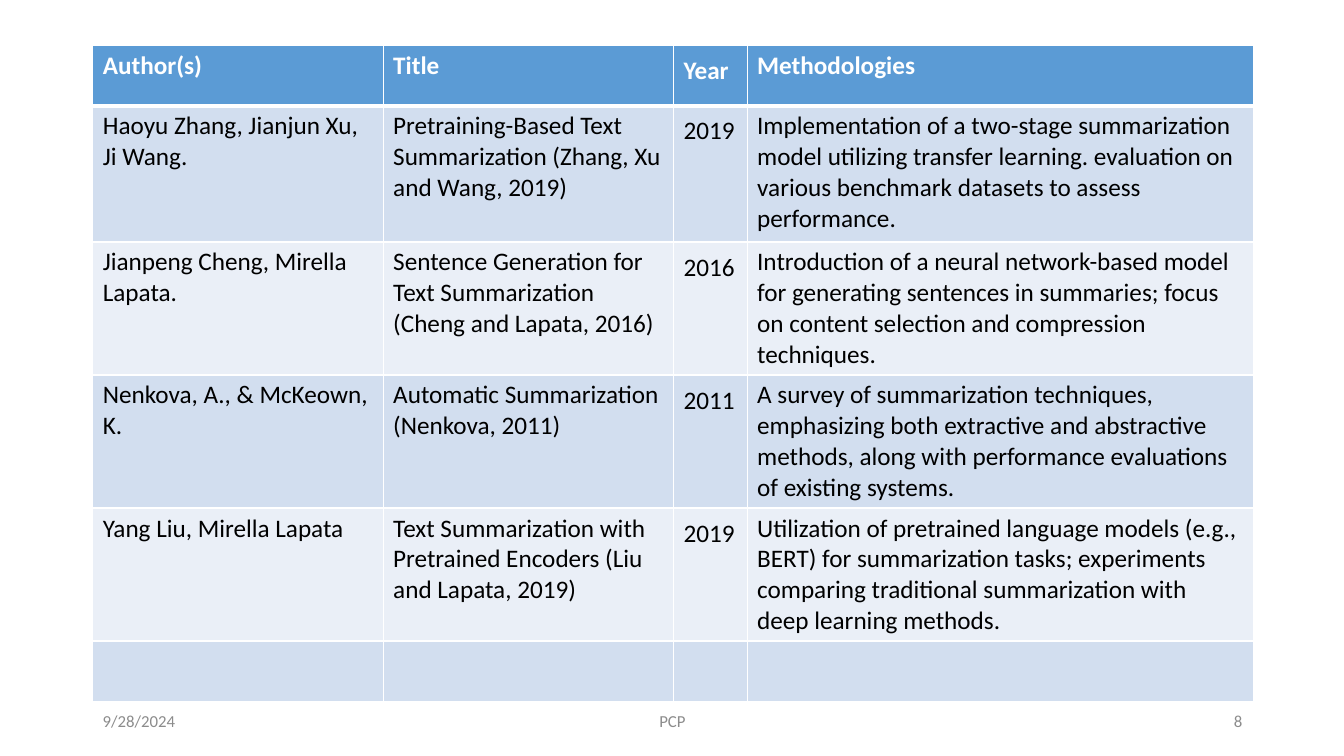
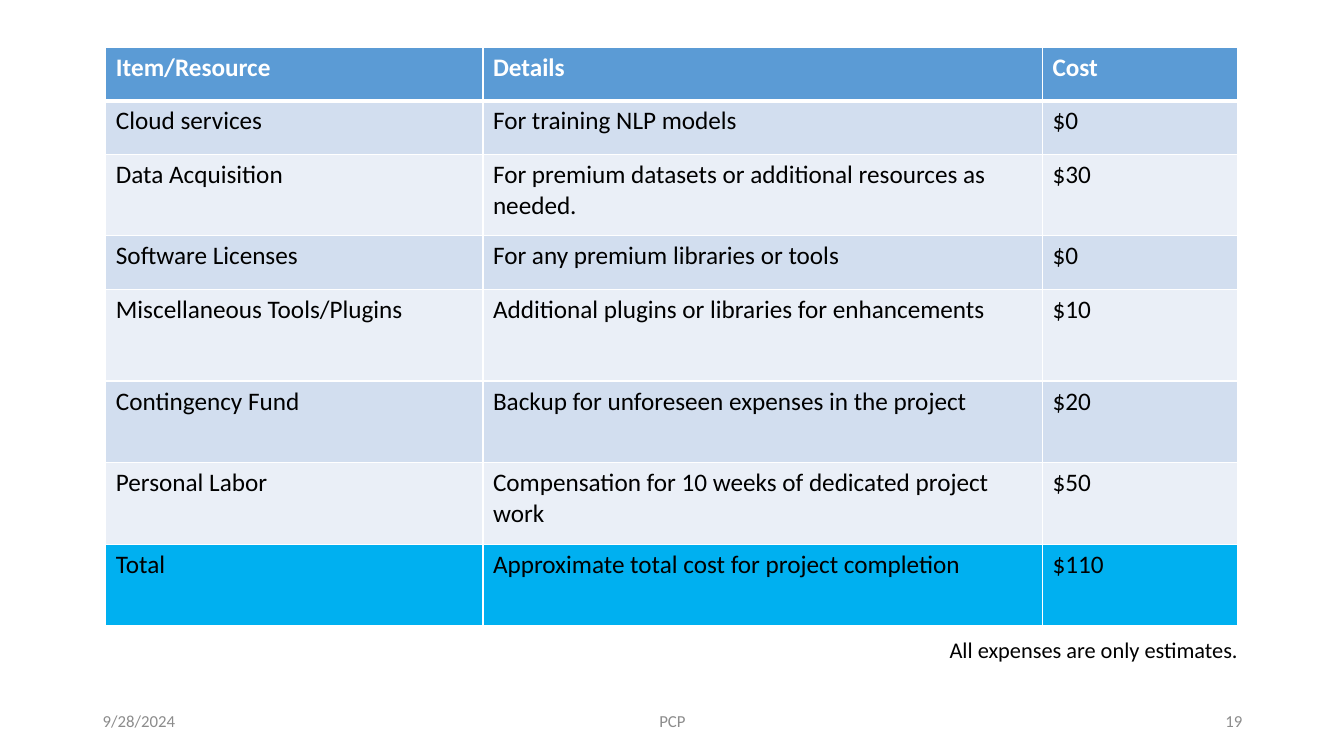
from dataclasses import dataclass

from pptx import Presentation
from pptx.dml.color import RGBColor
from pptx.enum.text import MSO_ANCHOR as Anchor, PP_ALIGN as Align
from pptx.oxml import parse_xml
from pptx.oxml.ns import nsdecls
from pptx.slide import Slide
from pptx.table import _Cell as Cell
from pptx.text.text import TextFrame
from pptx.util import Inches, Pt

WHITE = RGBColor(0xFF, 0xFF, 0xFF)
BLACK = RGBColor(0x00, 0x00, 0x00)
GRAY = RGBColor(0x8C, 0x8C, 0x8C)
HEADER_BLUE = RGBColor(0x5B, 0x9B, 0xD5)
BAND_DARK = RGBColor(0xD2, 0xDE, 0xEF)
BAND_LIGHT = RGBColor(0xEA, 0xEF, 0xF7)
TOTAL_BLUE = RGBColor(0x00, 0xB0, 0xF0)
FONT = "Calibri"


@dataclass(frozen=True)
class Box:
    left: float
    top: float
    width: float
    height: float


@dataclass(frozen=True)
class FooterPart:
    box: Box
    align: Align


@dataclass(frozen=True)
class Grid:
    left: float
    top: float
    columns: tuple[float, ...]
    heights: tuple[float, ...]
    rows: tuple[tuple[str, ...], ...]
    lowered_column: int | None = None
    has_total: bool = False


FOOTER = (
    FooterPart(Box(0.92, 6.95, 3, 0.4), Align.LEFT),
    FooterPart(Box(4.42, 6.95, 4.5, 0.4), Align.CENTER),
    FooterPart(Box(9.42, 6.95, 3, 0.4), Align.RIGHT),
)

LITERATURE = Grid(
    left=0.92,
    top=0.45,
    columns=(2.88, 2.88, 0.73, 5.02),
    heights=(0.6, 1.35, 1.32, 1.32, 1.32, 0.6),
    rows=(
        ("Author(s)", "Title", "Year", "Methodologies"),
        (
            "Haoyu Zhang, Jianjun Xu, Ji Wang.",
            "Pretraining-Based Text Summarization (Zhang, Xu and Wang, 2019)",
            "2019",
            "Implementation of a two-stage summarization model utilizing transfer learning. "
            "evaluation on various benchmark datasets to assess performance.",
        ),
        (
            "Jianpeng Cheng, Mirella Lapata.",
            "Sentence Generation for Text Summarization (Cheng and Lapata, 2016)",
            "2016",
            "Introduction of a neural network-based model for generating sentences in summaries; "
            "focus on content selection and compression techniques.",
        ),
        (
            "Nenkova, A., & McKeown, K.",
            "Automatic Summarization (Nenkova, 2011)",
            "2011",
            "A survey of summarization techniques, emphasizing both extractive and abstractive "
            "methods, along with performance evaluations of existing systems.",
        ),
        (
            "Yang Liu, Mirella Lapata",
            "Text Summarization with Pretrained Encoders (Liu and Lapata, 2019)",
            "2019",
            "Utilization of pretrained language models (e.g., BERT) for summarization tasks; "
            "experiments comparing traditional summarization with deep learning methods.",
        ),
        ("", "", "", ""),
    ),
    lowered_column=2,
)

BUDGET = Grid(
    left=1.05,
    top=0.47,
    columns=(3.74, 5.55, 1.94),
    heights=(0.53, 0.53, 0.81, 0.53, 0.91, 0.81, 0.81, 0.81),
    rows=(
        ("Item/Resource", "Details", "Cost"),
        ("Cloud services", "For training NLP models", "$0"),
        ("Data Acquisition", "For premium datasets or additional resources as needed.", "$30"),
        ("Software Licenses", "For any premium libraries or tools", "$0"),
        ("Miscellaneous Tools/Plugins", "Additional plugins or libraries for enhancements", "$10"),
        ("Contingency Fund", "Backup for unforeseen expenses in the project", "$20"),
        ("Personal Labor", "Compensation for 10 weeks of dedicated project work", "$50"),
        ("Total", "Approximate total cost for project completion", "$110"),
    ),
    has_total=True,
)


def write(
    frame: TextFrame,
    text: str,
    *,
    size: float = 18,
    color: RGBColor = BLACK,
    bold: bool = False,
    align: Align = Align.LEFT,
) -> None:
    paragraph = frame.paragraphs[0]
    paragraph.text = text
    paragraph.alignment = align
    font = paragraph.font
    font.name, font.size, font.bold = FONT, Pt(size), bold
    font.color.rgb = color


def add_label(slide: Slide, box: Box, text: str, *, size: float, color: RGBColor,
              align: Align = Align.LEFT, anchor: Anchor = Anchor.TOP) -> None:
    label = slide.shapes.add_textbox(
        Inches(box.left), Inches(box.top), Inches(box.width), Inches(box.height)
    )
    frame = label.text_frame
    frame.word_wrap = True
    frame.vertical_anchor = anchor
    write(frame, text, size=size, color=color, align=align)


def add_footer(slide: Slide, number: int) -> None:
    for part, text in zip(FOOTER, ("9/28/2024", "PCP", str(number))):
        add_label(slide, part.box, text, size=12, color=GRAY,
                  align=part.align, anchor=Anchor.MIDDLE)


def set_borders(cell: Cell, top: float, bottom: float) -> None:
    properties = cell._tc.get_or_add_tcPr()
    for index, (side, width) in enumerate(zip("LRTB", (1, 1, top, bottom))):
        properties.insert(index, parse_xml(
            f'<a:ln{side} {nsdecls("a")} w="{Pt(width)}"><a:solidFill>'
            f'<a:srgbClr val="{WHITE}"/></a:solidFill></a:ln{side}>'
        ))


def row_fill(grid: Grid, row: int) -> RGBColor:
    if row == 0:
        return HEADER_BLUE
    if grid.has_total and row == len(grid.rows) - 1:
        return TOTAL_BLUE
    return BAND_DARK if row % 2 else BAND_LIGHT


def add_grid(slide: Slide, grid: Grid) -> None:
    table = slide.shapes.add_table(
        len(grid.rows), len(grid.columns), Inches(grid.left), Inches(grid.top),
        Inches(sum(grid.columns)), Inches(sum(grid.heights)),
    ).table
    for column, width in zip(table.columns, grid.columns):
        column.width = Inches(width)
    for row, (texts, height) in enumerate(zip(grid.rows, grid.heights)):
        table.rows[row].height = Inches(height)
        is_header = row == 0
        for column, text in enumerate(texts):
            cell = table.cell(row, column)
            cell.fill.solid()
            cell.fill.fore_color.rgb = row_fill(grid, row)
            set_borders(cell, top=3 if row == 1 else 1, bottom=3 if is_header else 1)
            if column == grid.lowered_column:
                cell.margin_top = Inches(0.1)
            write(cell.text_frame, text, color=WHITE if is_header else BLACK, bold=is_header)


def main() -> None:
    deck = Presentation()
    deck.slide_width, deck.slide_height = Inches(13.33), Inches(7.5)
    blank = deck.slide_layouts[6]
    for number, grid in ((8, LITERATURE), (19, BUDGET)):
        slide = deck.slides.add_slide(blank)
        add_footer(slide, number)
        add_grid(slide, grid)
        if grid.has_total:
            add_label(slide, Box(9.32, 6.26, 3.1, 0.37), "All expenses are only estimates.",
                      size=16, color=BLACK)
    deck.save("out.pptx")


if __name__ == "__main__":
    main()
